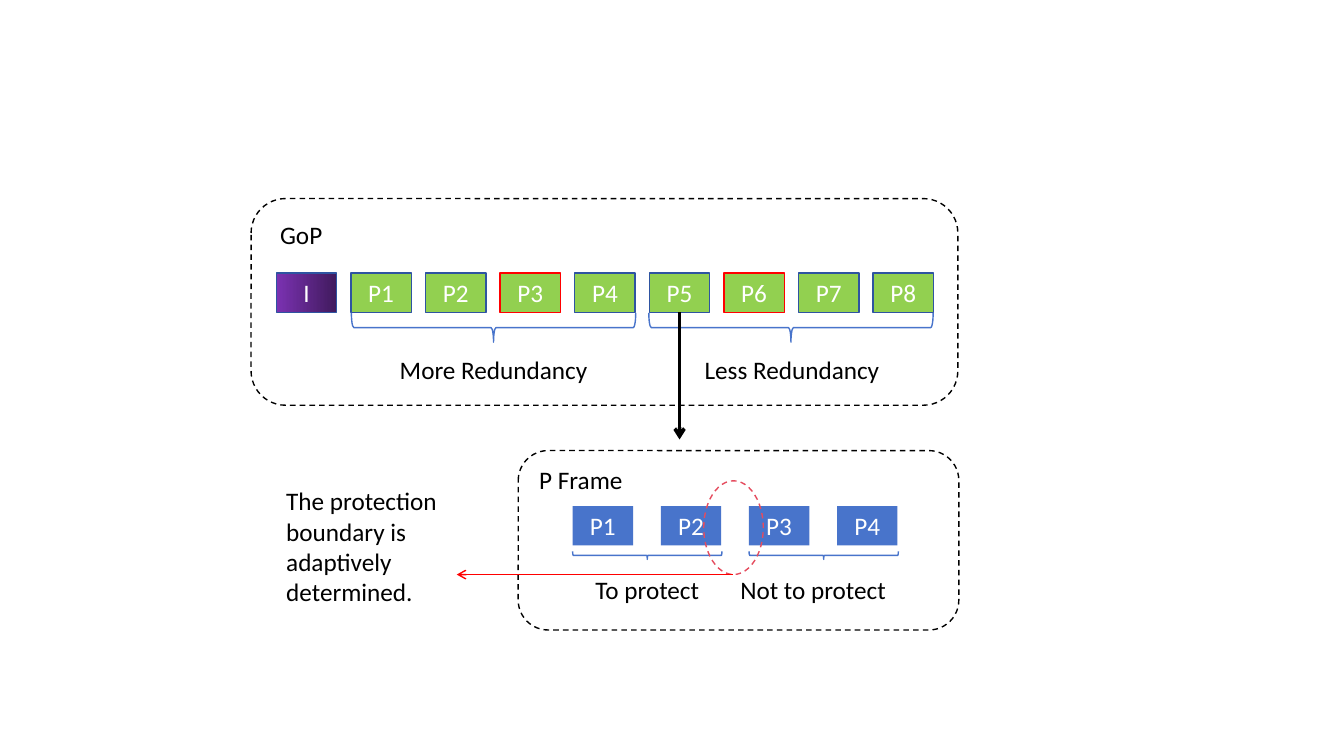
"""Draw a group of pictures with its frames and the protection boundary."""
from lxml import etree
from pptx import Presentation
from pptx import util as u
from pptx.dml.color import RGBColor
from pptx.enum import dml, shapes, text
from pptx.oxml import ns

deck = Presentation()
deck.slide_width, deck.slide_height = u.Inches(13.33), u.Inches(7.5)
slide = deck.slides.add_slide(deck.slide_layouts[6])
kinds = shapes.MSO_SHAPE


def draw(kind, box, fill=None, line=None, dash=False):
    item = slide.shapes.add_shape(kind, *map(u.Inches, box))
    item.shadow.inherit = False
    if fill:
        item.fill.solid()
        item.fill.fore_color.rgb = RGBColor.from_string(fill)
    else:
        item.fill.background()
    if line:
        item.line.color.rgb = RGBColor.from_string(line)
        item.line.width = u.Pt(1)
        if dash:
            item.line.dash_style = dml.MSO_LINE.DASH
    else:
        item.line.fill.background()
    return item


def write(item, words, color, align):
    frame = item.text_frame
    frame.word_wrap = True
    para = frame.paragraphs[0]
    para.text = words
    para.alignment = align
    para.font.name, para.font.size = "Calibri", u.Pt(18)
    para.font.color.rgb = RGBColor.from_string(color)


left, mid = text.PP_ALIGN.LEFT, text.PP_ALIGN.CENTER

for panel in [(2.49, 1.97, 7.01, 2.05), (5.14, 4.47, 4.37, 1.78)]:
    draw(kinds.ROUNDED_RECTANGLE, panel, line="000000", dash=True)

group = []
for i in range(9):
    name = f"P{i}" if i else "I"
    edge = "FF0000" if name in ("P3", "P6") else "2E54A1"
    cell = draw(kinds.RECTANGLE, (2.74 + 0.74 * i, 2.71, 0.6, 0.39), "92D050", edge)
    write(cell, name, "FFFFFF", mid)
    group.append(cell)

key = group[0].fill
key.gradient()
key.gradient_angle = 0
for stop, color in zip(key.gradient_stops, ("7B32B2", "401A5D")):
    stop.color.rgb = RGBColor.from_string(color)

for i in range(4):
    cell = draw(kinds.RECTANGLE, (5.68 + 0.874 * i, 5.02, 0.6, 0.39), "4874CB")
    write(cell, f"P{i + 1}", "FFFFFF", mid)

for box in [(4.75, 1.84, 0.29, 2.82), (7.7, 1.84, 0.29, 2.82),
            (6.38, 4.77, 0.08, 1.48), (8.13, 4.77, 0.08, 1.48)]:
    draw(kinds.LEFT_BRACE, box, line="4874CB").rotation = 270

draw(kinds.OVAL, (6.98, 4.77, 0.59, 0.93), line="E54C5E", dash=True)

for words, box, align in [
    ("GoP", (2.68, 2.13, 0.8, 0.4), left),
    ("More Redundancy", (3.57, 3.47, 2.65, 0.4), mid),
    ("Less Redundancy", (6.53, 3.47, 2.65, 0.4), mid),
    ("P Frame", (5.25, 4.56, 1.3, 0.4), left),
    ("To protect", (5.68, 5.65, 1.48, 0.4), mid),
    ("Not to protect", (7.16, 5.65, 1.81, 0.4), mid),
    ("The protection boundary is adaptively determined.", (2.74, 4.77, 1.98, 1.69), left),
]:
    write(slide.shapes.add_textbox(*map(u.Inches, box)), words, "000000", align)

for ends, color, width, start in [
    ((6.74, 3.1, 6.74, 4.36), "000000", 2.5, group[5]),
    ((7.27, 5.7, 4.53, 5.7), "FF0000", 1, None),
]:
    arrow = slide.shapes.add_connector(shapes.MSO_CONNECTOR.STRAIGHT, *map(u.Inches, ends))
    if start:
        arrow.begin_connect(start, 2)
    arrow.line.color.rgb = RGBColor.from_string(color)
    arrow.line.width = u.Pt(width)
    etree.SubElement(arrow.line._get_or_add_ln(), ns.qn("a:tailEnd"), type="arrow")
    etree.SubElement(arrow._element.spPr, ns.qn("a:effectLst"))

deck.save("out.pptx")
